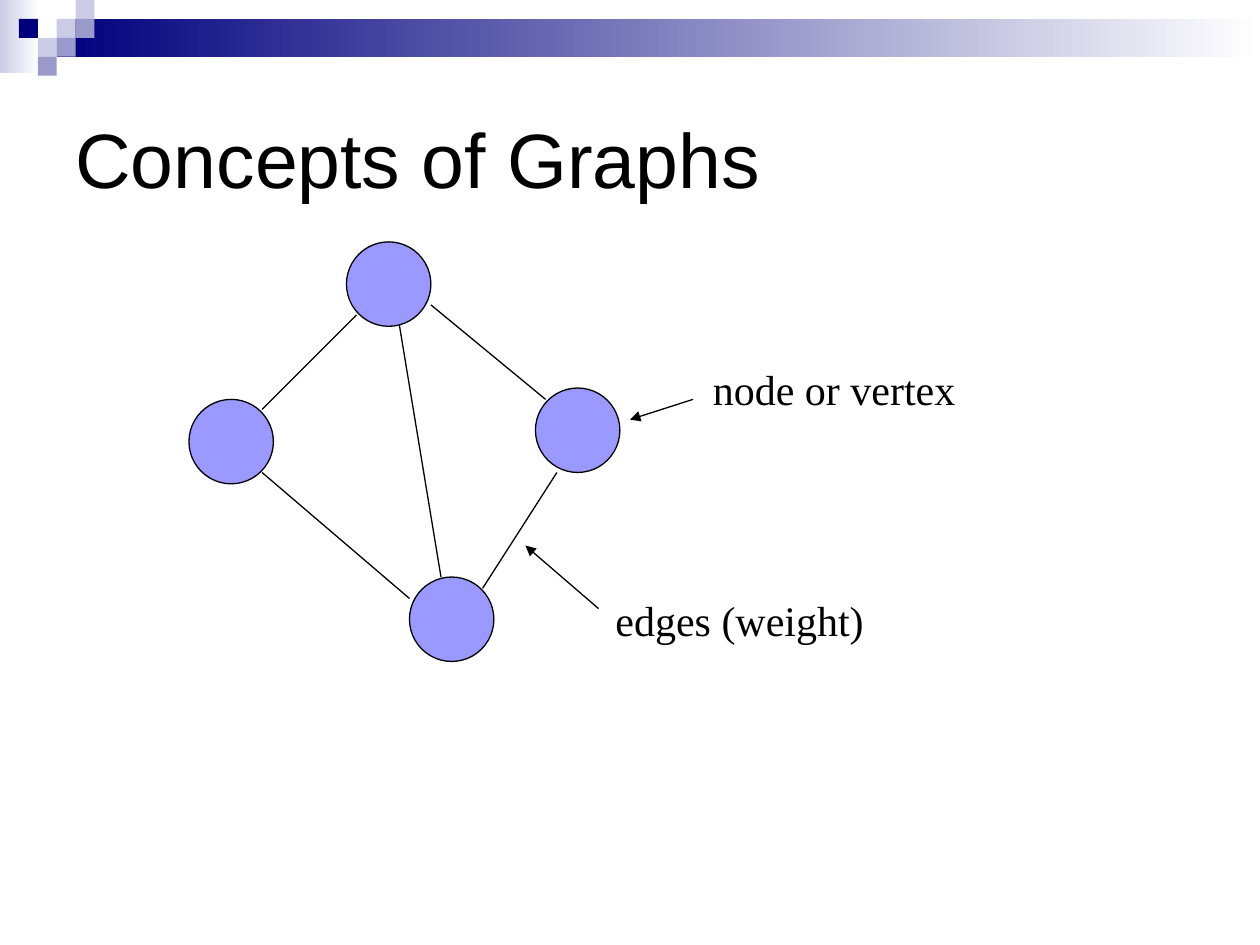
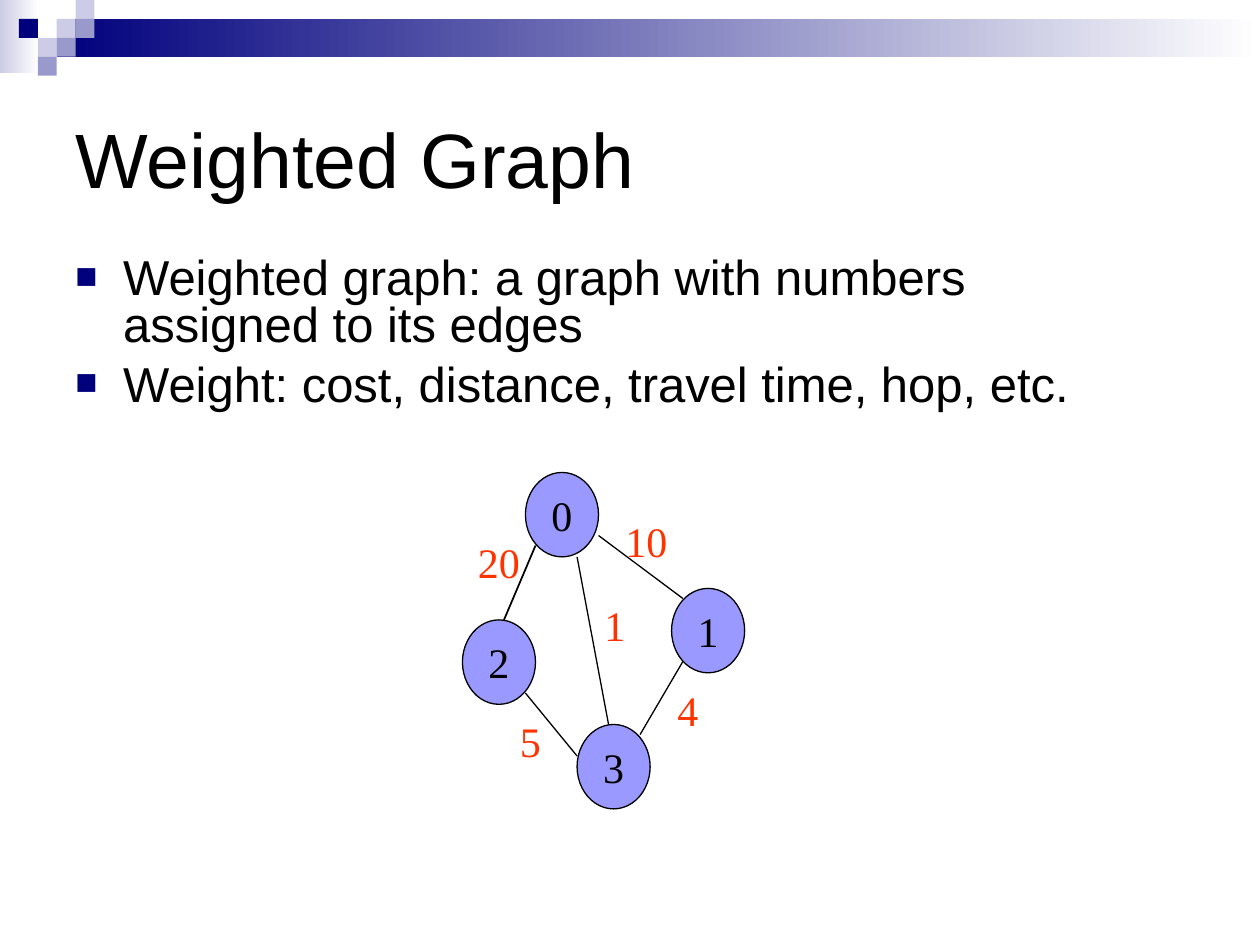
from lxml.etree import SubElement
from pptx import Presentation
from pptx.dml.color import RGBColor
from pptx.enum.shapes import MSO_CONNECTOR, MSO_SHAPE
from pptx.enum.text import MSO_ANCHOR, PP_ALIGN
from pptx.oxml.ns import qn
from pptx.util import Inches, Pt

BLACK = RGBColor(0x00, 0x00, 0x00)
WHITE = RGBColor(0xFF, 0xFF, 0xFF)
NAVY = RGBColor(0x00, 0x00, 0x7D)
LILAC = RGBColor(0xCC, 0xCC, 0xE6)
SLATE = RGBColor(0x99, 0x99, 0xCC)
NODE_BLUE = RGBColor(0x99, 0x99, 0xFF)
WEIGHT_RED = RGBColor(0xFF, 0x33, 0x00)
SANS, SERIF = "Arial", "Times New Roman"

MOSAIC_SIDE = 0.15
MOSAIC = [(3, 1, LILAC), (4, 0, LILAC), (4, 1, SLATE), (2, 2, LILAC),
          (1, 1, NAVY), (3, 2, SLATE), (2, 3, SLATE)]
FADES = [((0, 0, 0.31, 0.58), LILAC), ((0.45, 0.15, 9.55, 0.3), NAVY)]

CONCEPTS = {
    "title": "Concepts of Graphs",
    "node_size": (0.67, 0.67),
    "nodes": [("", 2.75, 1.92), ("", 4.25, 3.08), ("", 3.25, 4.58), ("", 1.5, 3.17)],
    "edges": [((2.83, 2.5), (2.08, 3.25), 0.75), ((2.08, 3.75), (3.25, 4.75), 0.75),
              ((3.83, 4.67), (4.42, 3.75), 0.75), ((3.17, 2.58), (3.5, 4.58), 0.75),
              ((3.42, 2.42), (4.33, 3.17), 0.75)],
    "label_size": (2.08, 0.83),
    "label_color": BLACK,
    "labels": [("edges (weight)", 4.83, 4.5), ("node or vertex", 5.58, 2.67)],
    "pointers": [((4.75, 4.83), (4.17, 4.33)), ((5.5, 3.17), (5, 3.33))],
    "bullets": [],
}
WEIGHTED = {
    "title": "Weighted Graph",
    "node_size": (0.58, 0.67),
    "nodes": [("0", 4.17, 3.75), ("1", 5.33, 4.67), ("3", 4.58, 5.75), ("2", 3.67, 4.92)],
    "edges": [((4.25, 4.33), (4, 4.92), 1), ((4.17, 5.5), (4.58, 6), 0.75),
              ((4.75, 4.25), (5.42, 4.75), 0.75), ((5.42, 5.25), (5.08, 5.83), 0.75),
              ((4.58, 4.42), (4.83, 5.75), 0.75)],
    "label_size": (0.42, 0.42),
    "label_color": WEIGHT_RED,
    "labels": [("20", 3.75, 4.25), ("10", 4.92, 4.08), ("1", 4.67, 4.75),
               ("5", 4, 5.67), ("4", 5.25, 5.42)],
    "pointers": [],
    "bullets": ["Weighted graph: a graph with numbers assigned to its edges",
                "Weight: cost, distance, travel time, hop, etc."],
}


def add_figure(slide, kind, box):
    figure = slide.shapes.add_shape(kind, *map(Inches, box))
    figure.shadow.inherit = False
    figure.line.fill.background()
    return figure


def write(paragraph, words, font, size, color):
    run = paragraph.add_run()
    run.text = words
    run.font.name = font
    run.font.size = Pt(size)
    run.font.color.rgb = color


def add_text(slide, box, wrap, anchor):
    holder = slide.shapes.add_textbox(*map(Inches, box))
    holder.text_frame.word_wrap = wrap
    holder.text_frame.vertical_anchor = anchor
    return holder.text_frame


def center_words(frame, words, color):
    frame.word_wrap = False
    frame.margin_left = frame.margin_right = 0
    frame.vertical_anchor = MSO_ANCHOR.MIDDLE
    paragraph = frame.paragraphs[0]
    paragraph.alignment = PP_ALIGN.CENTER
    write(paragraph, words, SERIF, 24, color)


def add_banner(slide):
    for box, color in FADES:
        fade = add_figure(slide, MSO_SHAPE.RECTANGLE, box)
        fade.fill.gradient()
        fade.fill.gradient_angle = 180
        for stop, tone in zip(fade.fill.gradient_stops, (WHITE, color)):
            stop.color.rgb = tone
    for column, row, color in MOSAIC:
        box = (column * MOSAIC_SIDE, row * MOSAIC_SIDE, MOSAIC_SIDE, MOSAIC_SIDE)
        tile = add_figure(slide, MSO_SHAPE.RECTANGLE, box)
        tile.fill.solid()
        tile.fill.fore_color.rgb = color


def add_title(slide, words):
    frame = add_text(slide, (0.5, 0.5, 9, 1.5), True, MSO_ANCHOR.MIDDLE)
    write(frame.paragraphs[0], words, SANS, 44, BLACK)


def add_bullets(slide, bullets):
    frame = add_text(slide, (0.5, 2, 8.83, 1.42), True, MSO_ANCHOR.TOP)
    for index, words in enumerate(bullets):
        paragraph = frame.add_paragraph() if index else frame.paragraphs[0]
        paragraph.line_spacing = 0.8
        if index:
            paragraph.space_before = Pt(7)
        props = paragraph._p.get_or_add_pPr()
        props.set("marL", str(Inches(0.38)))
        props.set("indent", str(Inches(-0.38)))
        tint = SubElement(props, qn("a:buClr"))
        SubElement(tint, qn("a:srgbClr"), val=str(NAVY))
        SubElement(props, qn("a:buSzPct"), val="75000")
        SubElement(props, qn("a:buFont"), typeface=SANS)
        SubElement(props, qn("a:buChar"), char="■")
        write(paragraph, words, SANS, 28, BLACK)


def add_line(slide, start, end, width=0.75, arrow=False):
    line = slide.shapes.add_connector(MSO_CONNECTOR.STRAIGHT, *map(Inches, start + end))
    line.line.color.rgb = BLACK
    line.line.width = Pt(width)
    if arrow:
        SubElement(line.line._get_or_add_ln(), qn("a:tailEnd"), type="triangle")
    SubElement(line._element.spPr, qn("a:effectLst"))


def add_graph(slide, graph):
    for name, left, top in graph["nodes"]:
        node = add_figure(slide, MSO_SHAPE.OVAL, (left, top, *graph["node_size"]))
        node.fill.solid()
        node.fill.fore_color.rgb = NODE_BLUE
        node.line.color.rgb = BLACK
        node.line.width = Pt(0.75)
        if name:
            center_words(node.text_frame, name, BLACK)
    for start, end, width in graph["edges"]:
        add_line(slide, start, end, width)
    for start, end in graph["pointers"]:
        add_line(slide, start, end, arrow=True)
    for words, left, top in graph["labels"]:
        frame = add_text(slide, (left, top, *graph["label_size"]), False, MSO_ANCHOR.MIDDLE)
        center_words(frame, words, graph["label_color"])


def main():
    deck = Presentation()
    deck.slide_width, deck.slide_height = Inches(10), Inches(7.5)
    for content in (CONCEPTS, WEIGHTED):
        slide = deck.slides.add_slide(deck.slide_layouts[6])
        add_banner(slide)
        add_title(slide, content["title"])
        if content["bullets"]:
            add_bullets(slide, content["bullets"])
        add_graph(slide, content)
    deck.save("out.pptx")


if __name__ == "__main__":
    main()
